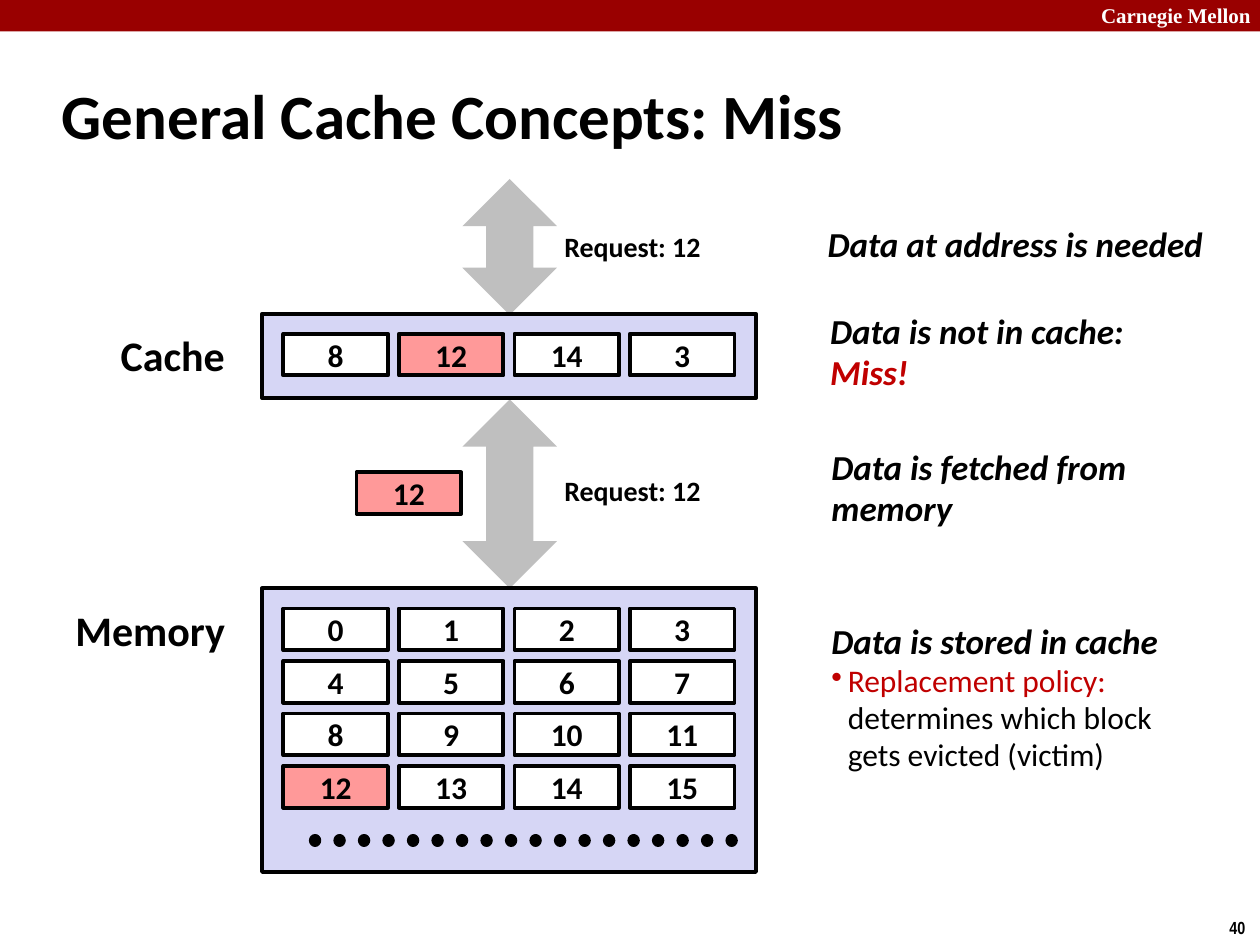
"""Build the slide on general cache concepts: a miss."""
from lxml import etree
from pptx import Presentation
from pptx.dml.color import RGBColor
from pptx.enum.dml import MSO_LINE
from pptx.enum.shapes import MSO_CONNECTOR, MSO_SHAPE
from pptx.enum.text import MSO_ANCHOR, MSO_AUTO_SIZE, PP_ALIGN
from pptx.oxml.ns import qn
from pptx.util import Inches, Pt

RECTANGLE = MSO_SHAPE.RECTANGLE
DOUBLE_ARROW = MSO_SHAPE.UP_DOWN_ARROW
STRAIGHT = MSO_CONNECTOR.STRAIGHT
DOTTED = MSO_LINE.ROUND_DOT
TOP, MIDDLE = MSO_ANCHOR.TOP, MSO_ANCHOR.MIDDLE
LEFT, CENTER = PP_ALIGN.LEFT, PP_ALIGN.CENTER
NO_AUTOFIT = MSO_AUTO_SIZE.NONE

BLACK, WHITE, RED = "000000", "FFFFFF", "C00000"
BAND, GRAY, LAVENDER, PINK = "990000", "BFBFBF", "D6D6F5", "FF9999"

TITLE = {"name": "Calibri", "size": Pt(36), "bold": True}
LABEL = {**TITLE, "size": Pt(24)}
BLOCK = {**TITLE, "size": Pt(18)}
REQUEST = {**TITLE, "size": Pt(16)}
STEP = {**TITLE, "size": Pt(20), "italic": True}
DETAIL = {**BLOCK, "bold": False}
UNIVERSITY = {"name": "Times New Roman", "size": Pt(12), "bold": True}
NUMBER = {"name": "Arial Narrow", "size": Pt(10), "bold": True}

BLOCK_WIDTH, BLOCK_HEIGHT = 0.83, 0.33
BLOCK_LEFT, COLUMN_PITCH, ROW_PITCH = 2.25, 2.75 / 3, 1.25 / 3
CACHE_ROWS = [[8, 12, 14, 3]]
MEMORY_ROWS = [range(start, start + 4) for start in range(0, 16, 4)]


def paint(color_format, color):
    """Set a colour format from a hex string."""
    color_format.rgb = RGBColor.from_string(color)


def write(paragraph, text, values, color=BLACK):
    """Add text to a paragraph, breaking lines at newlines."""
    for index, line in enumerate(text.split("\n")):
        if index:
            paragraph.add_line_break()
        if line:
            run = paragraph.add_run()
            run.text = line
            for name, value in values.items():
                setattr(run.font, name, value)
            paint(run.font.color, color)


def add_bullet(paragraph, indent):
    """Give a paragraph a bullet with a hanging indent."""
    properties = paragraph._p.get_or_add_pPr()
    properties.set("marL", str(Inches(indent)))
    properties.set("indent", str(-Inches(indent)))
    etree.SubElement(properties, qn("a:buChar")).set("char", "•")


def add_figure(slide, kind, place, fill, outlined=False):
    """Add a filled preset shape, with a black outline if wanted."""
    shape = slide.shapes.add_shape(kind, *map(Inches, place))
    shape.shadow.inherit = False
    shape.fill.solid()
    paint(shape.fill.fore_color, fill)
    if outlined:
        paint(shape.line.color, BLACK)
        shape.line.width = Pt(2.25)
    else:
        shape.line.fill.background()
    return shape


def add_block(slide, left, top, number):
    """Add a numbered data block, with block 12 highlighted."""
    fill = PINK if number == 12 else WHITE
    place = (left, top, BLOCK_WIDTH, BLOCK_HEIGHT)
    shape = add_figure(slide, RECTANGLE, place, fill, outlined=True)
    frame = shape.text_frame
    frame.vertical_anchor = MIDDLE
    frame.paragraphs[0].alignment = CENTER
    write(frame.paragraphs[0], str(number), BLOCK)


def add_store(slide, top, height, first_row, rows):
    """Add a container with its grid of blocks."""
    add_figure(slide, RECTANGLE, (2.08, top, 3.92, height), LAVENDER, outlined=True)
    for row, numbers in enumerate(rows):
        for column, number in enumerate(numbers):
            add_block(slide, BLOCK_LEFT + column * COLUMN_PITCH,
                      first_row + row * ROW_PITCH, number)


def add_text(slide, place, text, values, color=BLACK, alignment=LEFT, wrap=False):
    """Add a one-paragraph text box."""
    frame = slide.shapes.add_textbox(*map(Inches, place)).text_frame
    frame.word_wrap = wrap
    frame.vertical_anchor = TOP
    frame.paragraphs[0].alignment = alignment
    write(frame.paragraphs[0], text, values, color)


def add_step(slide, place, *lines):
    """Add a step text box from (text, colour) lines and return its frame."""
    frame = slide.shapes.add_textbox(*map(Inches, place)).text_frame
    frame.word_wrap = False
    frame.vertical_anchor = MIDDLE
    for index, (text, color) in enumerate(lines):
        paragraph = frame.add_paragraph() if index else frame.paragraphs[0]
        paragraph.line_spacing = 0.98
        write(paragraph, text, STEP, color)
    return frame


def add_dots(slide, left, right, height):
    """Add the dotted line that stands for further blocks."""
    ends = map(Inches, (left, height, right, height))
    connector = slide.shapes.add_connector(STRAIGHT, *ends)
    paint(connector.line.color, BLACK)
    connector.line.width = Pt(7)
    connector.line.dash_style = DOTTED
    properties = connector._element.spPr
    properties.find(qn("a:ln")).set("cap", "rnd")
    etree.SubElement(properties, qn("a:effectLst"))


def set_title(slide, text):
    """Place and format the title placeholder."""
    title = slide.shapes.title
    place = {"left": 0.39, "top": 0.49, "width": 8.3, "height": 0.83}
    for name, value in place.items():
        setattr(title, name, Inches(value))
    frame = title.text_frame
    frame.auto_size = NO_AUTOFIT
    frame.vertical_anchor = MIDDLE
    frame.paragraphs[0].alignment = LEFT
    write(frame.paragraphs[0], text, TITLE)


def add_steps(slide):
    """Add the explanations on the right."""
    add_step(slide, (6.47, 1.73, 3.27, 0.43), ("Data at address is needed", BLACK))
    add_step(slide, (6.49, 2.42, 2.62, 0.76),
             ("Data is not in cache:", BLACK), ("Miss!", RED))
    add_step(slide, (6.5, 3.5, 2.64, 0.76),
             ("Data is fetched from", BLACK), ("memory", BLACK))
    frame = add_step(slide, (6.5, 4.88, 2.89, 1.32), ("Data is stored in cache", BLACK))
    policy = frame.add_paragraph()
    add_bullet(policy, 0.13)
    policy.line_spacing = 0.98
    write(policy, "Replacement policy:\n", DETAIL, RED)
    write(policy, "determines which block\ngets evicted (victim)", DETAIL)


def main():
    """Build and save the presentation."""
    presentation = Presentation()
    presentation.slide_width, presentation.slide_height = Inches(10), Inches(7.5)
    slide = presentation.slides.add_slide(presentation.slide_layouts[5])

    add_figure(slide, RECTANGLE, (0, 0, 10, 0.25), BAND)
    add_text(slide, (8.64, -0.03, 1.43, 0.3), "Carnegie Mellon", UNIVERSITY,
             WHITE, wrap=True)
    add_text(slide, (9.66, 7.23, 0.34, 0.27), "40", NUMBER)
    set_title(slide, "General Cache Concepts: Miss")

    for top, height in ((1.42, 1.08), (3.17, 1.5)):
        add_figure(slide, DOUBLE_ARROW, (3.67, top, 0.75, height), GRAY)
    add_store(slide, 2.49, 0.67, 2.65, CACHE_ROWS)
    add_store(slide, 4.67, 2.25, 4.83, MEMORY_ROWS)
    add_dots(slide, 2.5, 5.83, 6.67)
    add_block(slide, 2.83, 3.75, 12)

    add_text(slide, (0.86, 2.57, 1.04, 0.5), "Cache", LABEL)
    add_text(slide, (0.5, 4.75, 1.4, 0.5), "Memory", LABEL)
    for top in (1.77, 3.71):
        add_text(slide, (4.37, top, 1.3, 0.37), "Request: 12", REQUEST, alignment=CENTER)
    add_steps(slide)
    presentation.save("out.pptx")


if __name__ == "__main__":
    main()
